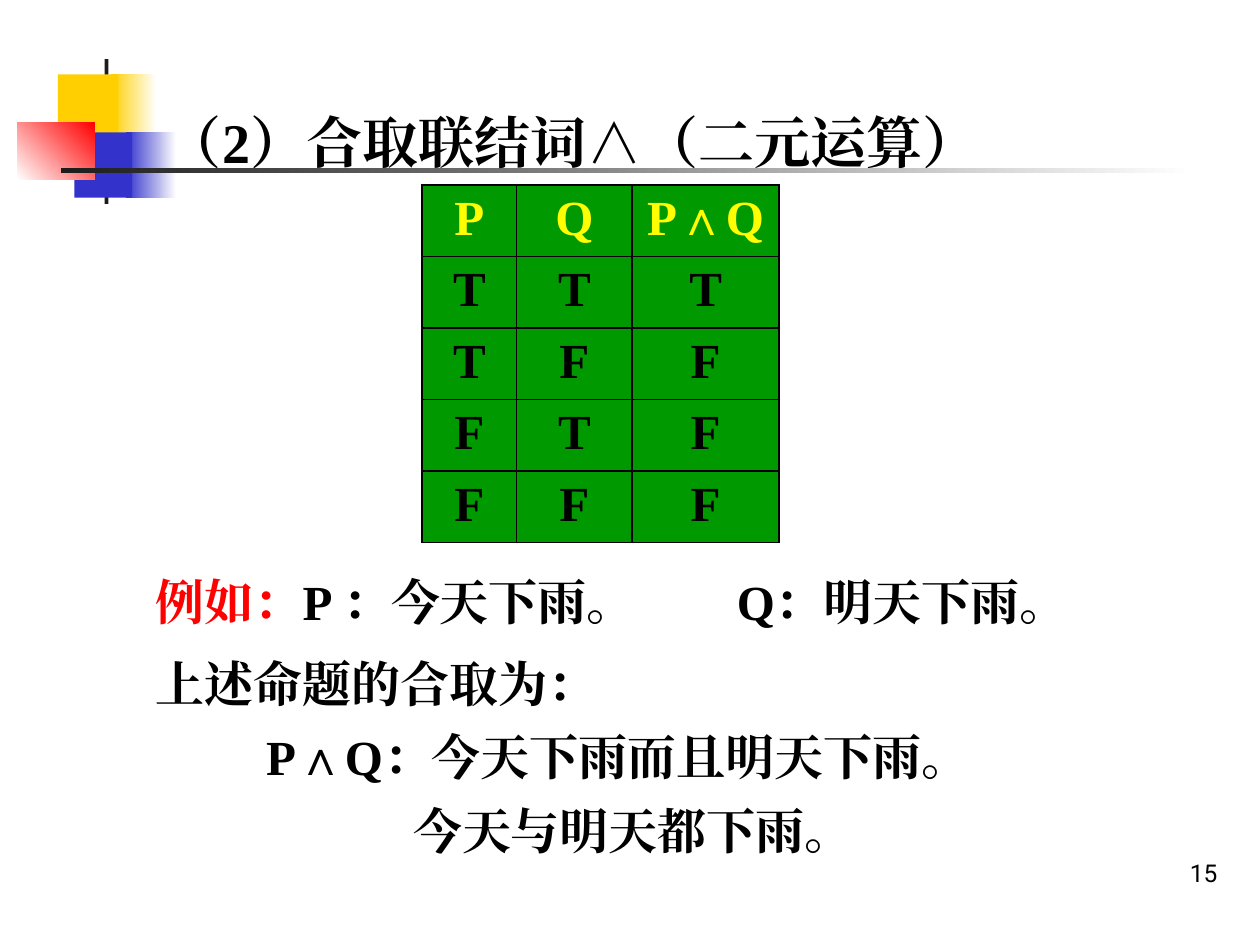
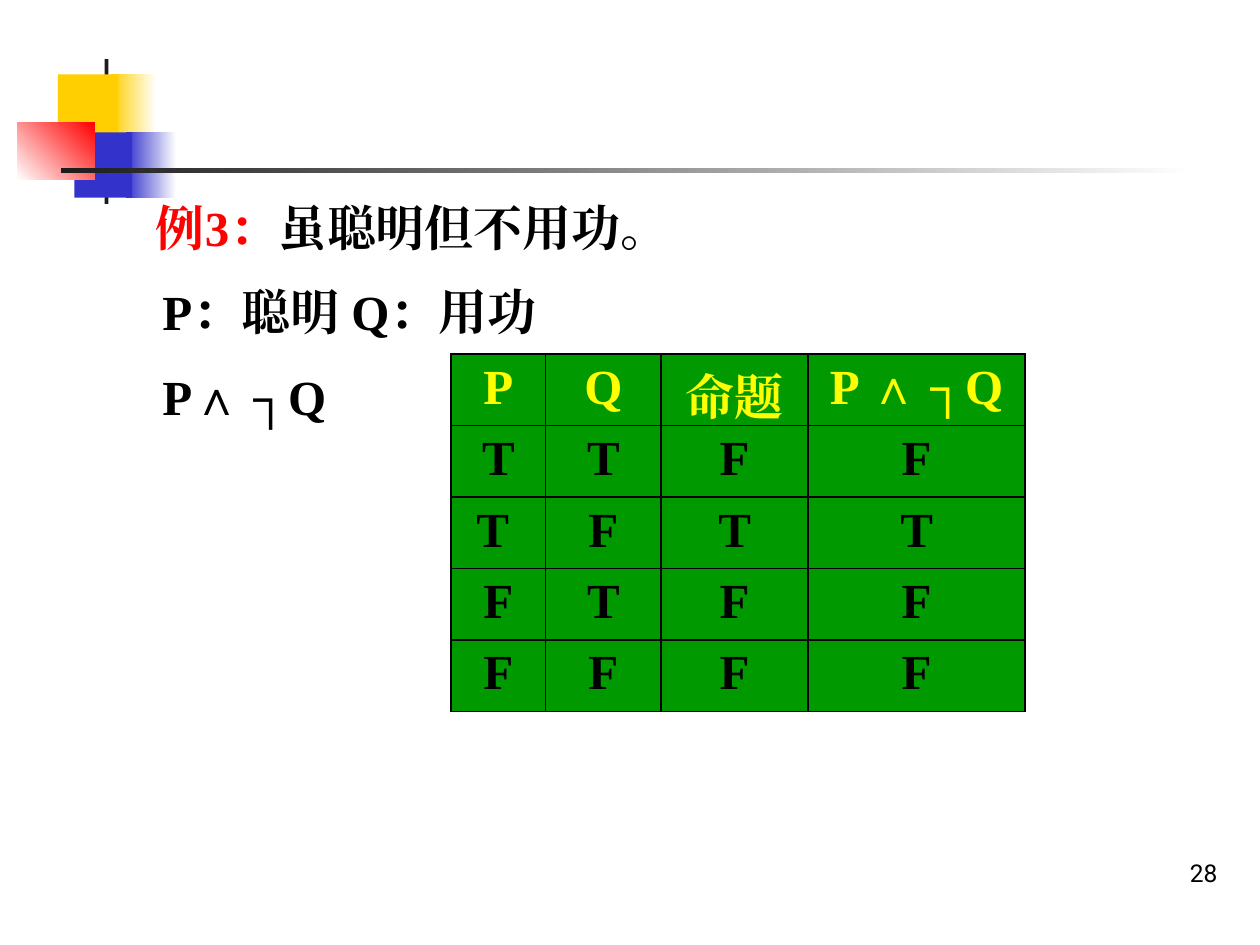
from lxml import etree
from pptx import Presentation
from pptx.dml.color import RGBColor
from pptx.enum.shapes import MSO_SHAPE
from pptx.enum.text import MSO_ANCHOR, PP_ALIGN
from pptx.oxml.ns import qn
from pptx.util import Pt

RECTANGLE = MSO_SHAPE.RECTANGLE
BOTTOM = MSO_ANCHOR.BOTTOM
CENTER, RIGHT = PP_ALIGN.CENTER, PP_ALIGN.RIGHT

COLORS = {
    "yellow_block": "FFCF01",
    "blue_block": "3333CC",
    "red": "FF0000",
    "line": "1C1C1C",
    "white": "FFFFFF",
    "black": "000000",
    "table": "009900",
    "header": "FFFF00",
}
SERIF, SANS = "Times New Roman", "Roboto"
BODY_SIZE = 28
ROW_HEIGHT = 40.75
TRUTH_COLUMNS = (54, 66, 84)

# left, top, width, height, colours (two make a gradient), gradient angle
DECORATION = [
    (63.4, 42.5, 25.9, 37.4, ("yellow_block", "white"), 0),
    (72, 75.6, 28.8, 37.4, ("blue_block", "white"), 0),
    (59.8, 33.8, 2.2, 82.8, ("line",), 0),
    (33.1, 42.5, 34.6, 37.4, ("yellow_block",), 0),
    (42.5, 75.6, 33.1, 37.4, ("blue_block",), 0),
    (10.1, 69.8, 43.9, 33.1, ("white", "red"), 45),
    (34.6, 96.2, 648, 2.4, ("line", "white"), 0),
]


def color(name):
    return RGBColor.from_string(COLORS[name])


def add_block(slide, left, top, width, height, color_names, angle):
    shape = slide.shapes.add_shape(RECTANGLE, Pt(left), Pt(top), Pt(width), Pt(height))
    shape.shadow.inherit = False
    shape.line.fill.background()
    if len(color_names) == 1:
        shape.fill.solid()
        shape.fill.fore_color.rgb = color(color_names[0])
        return
    shape.fill.gradient()
    shape.fill.gradient_angle = angle
    for stop, name in zip(shape.fill.gradient_stops, color_names):
        stop.color.rgb = color(name)


def set_serif(paragraph, size=BODY_SIZE):
    """Use the bold serif font for Latin and East Asian characters alike."""
    paragraph.font.name = SERIF
    paragraph.font.size = Pt(size)
    paragraph.font.bold = True
    for run in paragraph.runs:
        properties = run.font._element
        latin = etree.SubElement(properties, qn("a:latin"))
        latin.set("typeface", SERIF)
        east_asian = etree.SubElement(properties, qn("a:ea"))
        east_asian.set("typeface", SERIF)


def add_tab_stop(paragraph, position):
    tab_list = etree.SubElement(paragraph._p.get_or_add_pPr(), qn("a:tabLst"))
    etree.SubElement(tab_list, qn("a:tab"), pos=str(Pt(position)), algn="l")


def add_text(slide, left, top, width, height):
    box = slide.shapes.add_textbox(Pt(left), Pt(top), Pt(width), Pt(height))
    frame = box.text_frame
    frame.word_wrap = True
    return frame


def add_statements(slide, left, top, width, height, lines, size=BODY_SIZE,
                   line_spacing=None, next_spacing=None, space_before=0, tab=None):
    """Add one paragraph per (indent, runs) line; each run is (text, colour name)."""
    frame = add_text(slide, left, top, width, height)
    frame.margin_top = Pt(7)
    for index, (indent, runs) in enumerate(lines):
        paragraph = frame.add_paragraph() if index else frame.paragraphs[0]
        spacing = next_spacing if index else line_spacing
        if spacing:
            paragraph.line_spacing = spacing
        if index:
            paragraph.space_before = Pt(space_before)
        if indent:
            paragraph._p.get_or_add_pPr().set("marL", str(Pt(indent)))
        if tab:
            add_tab_stop(paragraph, tab)
        for text, color_name in runs:
            run = paragraph.add_run()
            run.text = text
            run.font.color.rgb = color(color_name)
        set_serif(paragraph, size)


def set_borders(cell):
    properties = cell._tc.get_or_add_tcPr()
    for position, side in enumerate(("lnL", "lnR", "lnT", "lnB")):
        line = etree.Element(qn(f"a:{side}"), w=str(Pt(1)))
        fill = etree.SubElement(line, qn("a:solidFill"))
        etree.SubElement(fill, qn("a:srgbClr"), val=COLORS["black"])
        properties.insert(position, line)


def add_truth_table(slide, left, top, widths, rows):
    table = slide.shapes.add_table(
        len(rows), len(widths), Pt(left), Pt(top),
        Pt(sum(widths)), Pt(ROW_HEIGHT * len(rows))).table
    for column, width in zip(table.columns, widths):
        column.width = Pt(width)
    for row_index, values in enumerate(rows):
        table.rows[row_index].height = Pt(ROW_HEIGHT)
        for column_index, value in enumerate(values):
            cell = table.cell(row_index, column_index)
            cell.margin_left = cell.margin_right = 0
            cell.fill.solid()
            cell.fill.fore_color.rgb = color("table")
            set_borders(cell)
            paragraph = cell.text_frame.paragraphs[0]
            paragraph.alignment = CENTER
            run = paragraph.add_run()
            run.text = value
            run.font.color.rgb = color("black" if row_index else "header")
            set_serif(paragraph)
    return table


def add_base_slide(presentation, number):
    slide = presentation.slides.add_slide(presentation.slide_layouts[6])
    for block in DECORATION:
        add_block(slide, *block)
    frame = add_text(slide, 553, 474.5, 149.8, 36)
    frame.vertical_anchor = BOTTOM
    paragraph = frame.paragraphs[0]
    paragraph.text = str(number)
    paragraph.alignment = RIGHT
    paragraph.font.name = SANS
    paragraph.font.size = Pt(14)
    paragraph.font.color.rgb = color("black")
    return slide


def build_conjunction(presentation):
    slide = add_base_slide(presentation, 15)
    add_statements(slide, 82, 309.6, 575.3, 51, [
        (0, [("例如：", "red"), ("P ：今天下雨。\tQ：明天下雨。", "black")]),
    ], line_spacing=1.3, tab=332)
    add_truth_table(slide, 241.2, 105.8, TRUTH_COLUMNS,
                    [("P", "Q", "P∧Q"), "TTT", "TFF", "FTF", "FFF"])
    add_statements(slide, 87.8, 43.2, 520, 57, [
        (0, [("（2）合取联结词∧（二元运算）", "black")]),
    ], size=32, line_spacing=1.3)
    add_statements(slide, 82, 366.5, 527, 128, [
        (0, [("上述命题的合取为：", "black")]),
        (63, [("P∧Q：今天下雨而且明天下雨。", "black")]),
        (147, [("今天与明天都下雨。", "black")]),
    ], next_spacing=0.9, space_before=12)


def build_example(presentation):
    slide = add_base_slide(presentation, 28)
    left, top = 257.8, 202.3
    table = add_truth_table(slide, left, top, TRUTH_COLUMNS,
                            [("P", "Q", "命题"), "TTF", ("T ", "F", "T"), "FTF", "FFF"])
    proposition = table.cell(0, 2)
    proposition.vertical_anchor = BOTTOM
    proposition.margin_bottom = 0
    add_statements(slide, 82, 105.8, 360, 41, [
        (0, [("例3：", "red"), ("虽聪明但不用功。", "black")]),
    ])
    add_statements(slide, 85.7, 154, 360, 91.4, [
        (0, [("P：聪明 Q：用功", "black")]),
        (0, [("P∧ ┐Q", "black")]),
    ], space_before=15)
    add_truth_table(slide, left + sum(TRUTH_COLUMNS), top, (124,),
                    [("P ∧ ┐Q",), "F", "T", "F", "F"])


def main():
    presentation = Presentation()
    presentation.slide_width, presentation.slide_height = Pt(720), Pt(540)
    build_conjunction(presentation)
    build_example(presentation)
    presentation.save("out.pptx")


if __name__ == "__main__":
    main()
